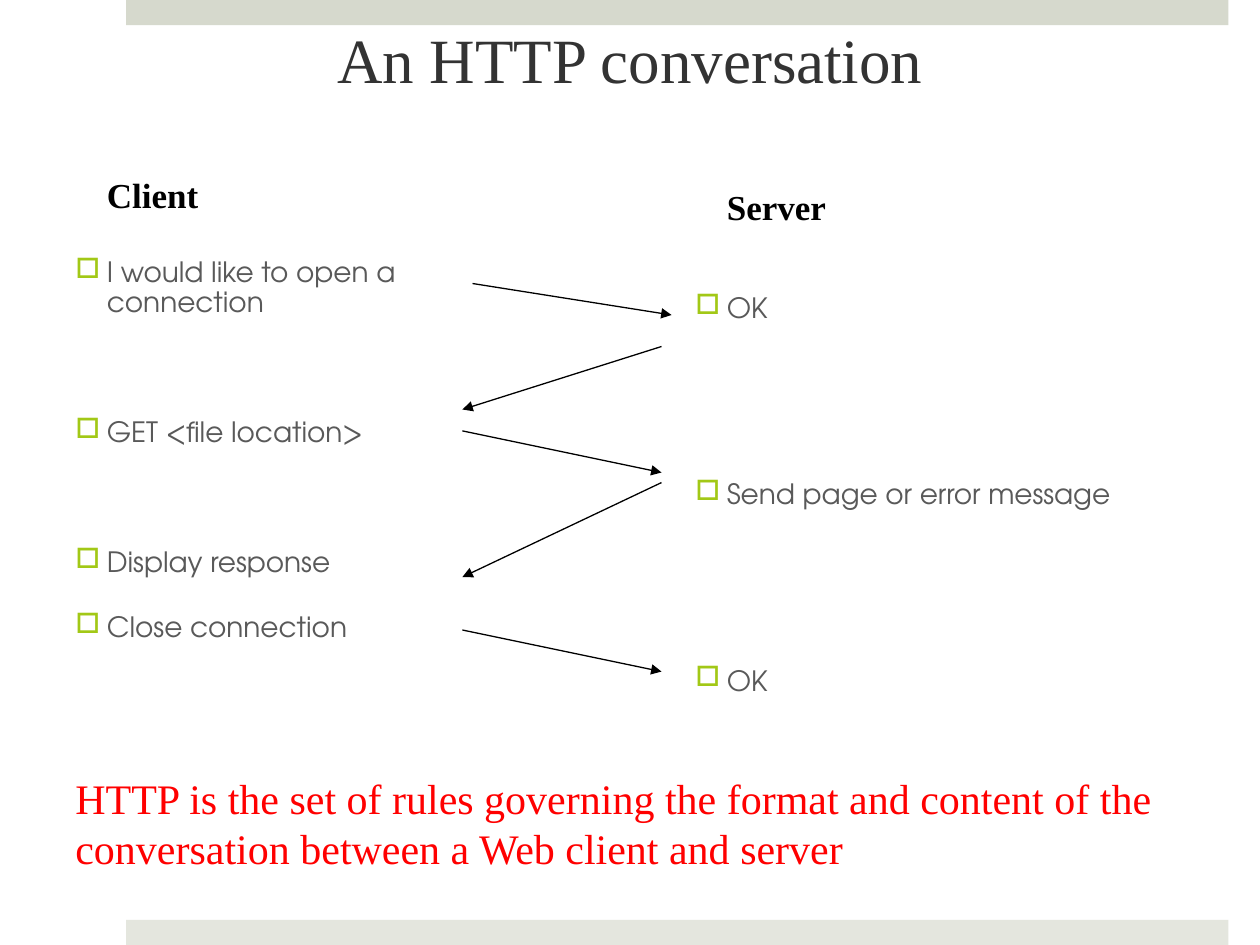
from dataclasses import dataclass

from lxml import etree
from pptx import Presentation
from pptx.dml.color import RGBColor
from pptx.enum.shapes import MSO_CONNECTOR, MSO_SHAPE
from pptx.enum.text import MSO_ANCHOR, PP_ALIGN
from pptx.oxml.ns import qn
from pptx.util import Inches, Pt

COLORS = {
    "top_band": "D6D9CD",
    "bottom_band": "E4E6DE",
    "title": "333333",
    "body": "595959",
    "bullet": "A2C816",
    "black": "000000",
    "rule": "FF0000",
}
SERIF = "Times New Roman"
SANS = "TeX Gyre Adventor"


@dataclass
class Band:
    top: float
    color: str


@dataclass
class Label:
    text: str
    box: tuple[float, float, float, float]
    size: int
    color: str
    bold: bool = False
    wrap: bool = True
    align: PP_ALIGN = PP_ALIGN.LEFT
    anchor: MSO_ANCHOR = MSO_ANCHOR.TOP


@dataclass
class Column:
    box: tuple[float, float, float, float]
    line_spacing: float
    top_inset: float
    messages: list[tuple[str, int]]  # text and space before in points


@dataclass
class Arrow:
    start: tuple[float, float]
    end: tuple[float, float]


BANDS = [Band(0, "top_band"), Band(7.3, "bottom_band")]

COLUMNS = [
    Column((0.5, 2, 3.25, 3.45), 0.9, 0.05, [
        ("I would like to open a connection", 0),
        ("GET <file location>", 57),
        ("Display response", 57),
        ("Close connection", 20),
    ]),
    Column((5.42, 1.77, 4.42, 4.25), 0.8, 0.59, [
        ("OK", 0),
        ("Send page or error message", 91),
        ("OK", 91),
    ]),
]

LABELS = [
    Label("Client", (0.75, 1.33, 0.97, 0.43), 20, "black", bold=True, wrap=False),
    Label("Server", (5.67, 1.42, 1.07, 0.43), 20, "black", bold=True, wrap=False),
    Label("HTTP is the set of rules governing the format and content of the "
          "conversation between a Web client and server",
          (0.5, 6.08, 9, 0.9), 24, "rule"),
    Label("An HTTP conversation", (0.5, 0, 9, 0.92), 36, "title",
          align=PP_ALIGN.CENTER, anchor=MSO_ANCHOR.MIDDLE),
]

ARROWS = [
    Arrow((3.75, 2.25), (5.33, 2.5)),
    Arrow((5.25, 2.75), (3.67, 3.25)),
    Arrow((3.67, 3.42), (5.25, 3.75)),
    Arrow((5.25, 3.83), (3.67, 4.58)),
    Arrow((3.67, 5), (5.25, 5.33)),
]


def rgb(name: str) -> RGBColor:
    return RGBColor.from_string(COLORS[name])


def style(paragraph, face: str, size: int, color: str, bold: bool = False) -> None:
    font = paragraph.font
    font.name, font.size, font.bold = face, Pt(size), bold
    font.color.rgb = rgb(color)


def add_bullet(paragraph) -> None:
    properties = paragraph._p.get_or_add_pPr()
    properties.set("marL", str(Inches(0.25)))
    properties.set("indent", str(-Inches(0.25)))
    bullet_color = etree.SubElement(properties, qn("a:buClr"))
    etree.SubElement(bullet_color, qn("a:srgbClr"), val=COLORS["bullet"])
    etree.SubElement(properties, qn("a:buChar"), char="□")


def draw_band(slide, band: Band) -> None:
    bar = slide.shapes.add_shape(MSO_SHAPE.RECTANGLE, Inches(1), Inches(band.top),
                                 Inches(8.75), Inches(0.2))
    bar.shadow.inherit = False
    bar.fill.solid()
    bar.fill.fore_color.rgb = rgb(band.color)
    bar.line.fill.background()


def draw_column(slide, column: Column) -> None:
    frame = slide.shapes.add_textbox(*map(Inches, column.box)).text_frame
    frame.word_wrap = True
    frame.margin_top = Inches(column.top_inset)
    for index, (message, space_before) in enumerate(column.messages):
        paragraph = frame.add_paragraph() if index else frame.paragraphs[0]
        paragraph.text = message
        add_bullet(paragraph)
        paragraph.line_spacing = column.line_spacing
        paragraph.space_before = Pt(space_before)
        style(paragraph, SANS, 16, "body")


def draw_label(slide, label: Label) -> None:
    frame = slide.shapes.add_textbox(*map(Inches, label.box)).text_frame
    frame.word_wrap = label.wrap
    frame.vertical_anchor = label.anchor
    paragraph = frame.paragraphs[0]
    paragraph.text = label.text
    paragraph.alignment = label.align
    style(paragraph, SERIF, label.size, label.color, label.bold)


def draw_arrow(slide, arrow: Arrow) -> None:
    connector = slide.shapes.add_connector(
        MSO_CONNECTOR.STRAIGHT, *map(Inches, arrow.start + arrow.end))
    connector.line.color.rgb = rgb("black")
    connector.line.width = Pt(0.75)
    etree.SubElement(connector.line._get_or_add_ln(), qn("a:tailEnd"), type="triangle")
    etree.SubElement(connector._element.spPr, qn("a:effectLst"))


def main() -> None:
    deck = Presentation()
    deck.slide_width, deck.slide_height = Inches(10), Inches(7.5)
    slide = deck.slides.add_slide(deck.slide_layouts[6])

    # Bands at the top and bottom edges
    for band in BANDS:
        draw_band(slide, band)
    # Client and server messages
    for column in COLUMNS:
        draw_column(slide, column)
    # Arrows between the two sides
    for arrow in ARROWS:
        draw_arrow(slide, arrow)
    # Column headings, closing rule and title
    for label in LABELS:
        draw_label(slide, label)

    deck.save("out.pptx")


if __name__ == "__main__":
    main()
